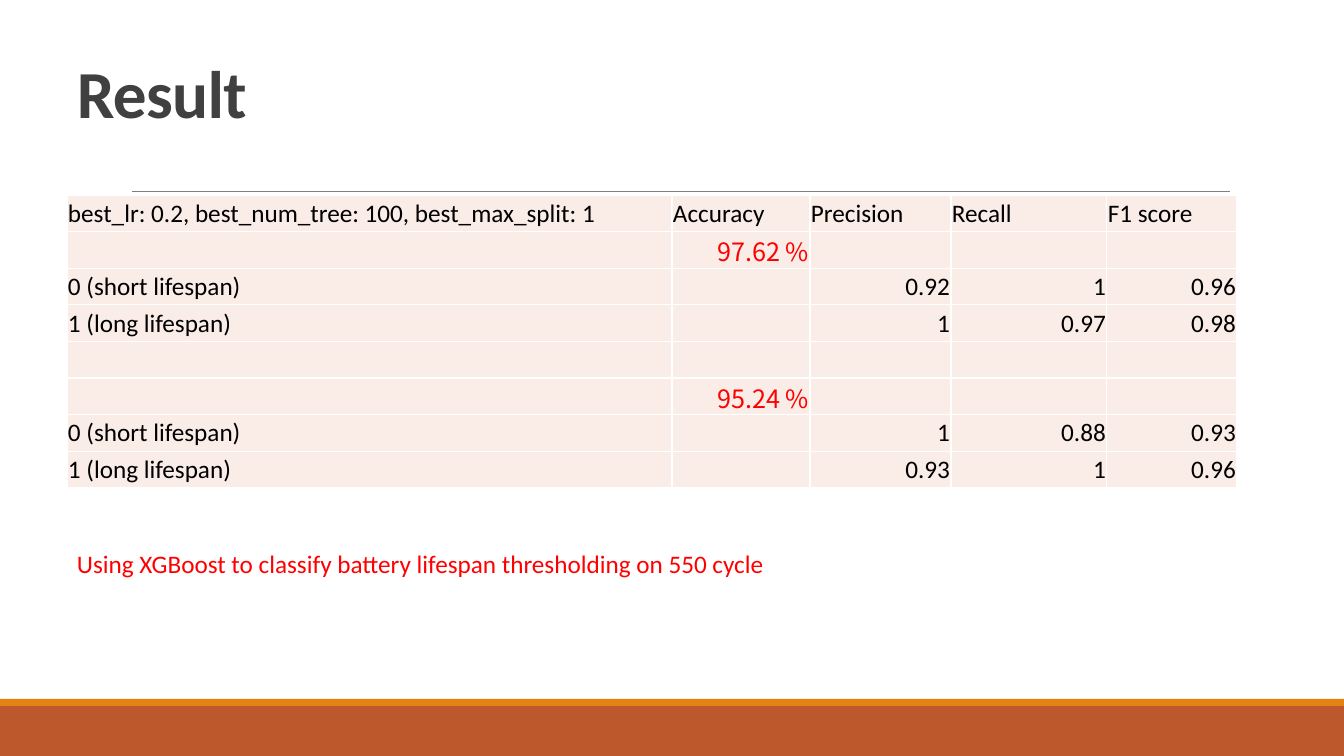
from dataclasses import dataclass

from lxml import etree
from pptx import Presentation
from pptx.dml.color import RGBColor
from pptx.enum.shapes import MSO_CONNECTOR, MSO_SHAPE
from pptx.enum.text import MSO_ANCHOR, PP_ALIGN
from pptx.oxml import parse_xml
from pptx.oxml.ns import nsdecls, qn
from pptx.util import Pt

LEFT, RIGHT = PP_ALIGN.LEFT, PP_ALIGN.RIGHT
TOP, MIDDLE, BOTTOM = MSO_ANCHOR.TOP, MSO_ANCHOR.MIDDLE, MSO_ANCHOR.BOTTOM
RECT, STRAIGHT = MSO_SHAPE.RECTANGLE, MSO_CONNECTOR.STRAIGHT
PX = 914400 / 100.8


@dataclass(frozen=True)
class Theme:
    font: str = "Calibri"
    alt: str = "Noto Sans CJK TC"
    ink: str = "000000"
    head: str = "404040"
    mark: str = "FF0000"
    rust: str = "BD582C"
    amber: str = "E48312"
    rule: str = "808080"
    cell: str = "FAEDE7"
    edge: str = "FFFFFF"
    big: int = 48
    body: int = 18


def emu(px):
    return round(px * PX)


def rgb(code):
    return RGBColor.from_string(code)


def apply(item, values):
    for name, value in values.items():
        setattr(item, name, value)


class Deck:
    def __init__(self, theme):
        self.theme = theme
        self.prs = Presentation()
        apply(self.prs, {"slide_width": emu(1344), "slide_height": emu(756)})
        self.slide = self.prs.slides.add_slide(self.prs.slide_layouts[6])
        self.shapes = self.slide.shapes

    def band(self, x, y, w, h, color):
        shape = self.shapes.add_shape(RECT, *map(emu, (x, y, w, h)))
        shape.shadow.inherit = False
        shape.fill.solid()
        shape.fill.fore_color.rgb = rgb(color)
        shape.line.fill.background()

    def rule(self, x, y, end):
        line = self.shapes.add_connector(STRAIGHT, *map(emu, (x, y, end, y)))
        line.line.color.rgb = rgb(self.theme.rule)
        line.line.width = Pt(0.5)
        etree.SubElement(line._element.spPr, qn("a:effectLst"))

    def label(self, frame, text, color, size=None, font=None, align=LEFT, bold=False):
        para = frame.paragraphs[0]
        para.alignment = align
        run = para.add_run()
        run.text = text
        apply(run.font, {"name": font or self.theme.font,
                         "size": Pt(size or self.theme.body), "bold": bold})
        run.font.color.rgb = rgb(color)
        return para, run

    def text(self, x, y, w, h, text, color, wrap=True, anchor=TOP, **style):
        frame = self.shapes.add_textbox(*map(emu, (x, y, w, h))).text_frame
        apply(frame, {"word_wrap": wrap, "vertical_anchor": anchor})
        return self.label(frame, text, color, **style)

    def title(self, x, y, w, h, text):
        para, run = self.text(x, y, w, h, text, self.theme.head, anchor=BOTTOM,
                              size=self.theme.big, bold=True)
        para.line_spacing = 0.85
        run._r.get_or_add_rPr().set("spc", "-50")

    def cell(self, cell, text, row, col):
        theme = self.theme
        apply(cell, {"margin_left": emu(1), "margin_right": emu(1), "margin_top": emu(1),
                     "margin_bottom": 0, "vertical_anchor": MIDDLE})
        for side in ("lnL", "lnR", "lnT", "lnB"):
            cell._tc.get_or_add_tcPr().append(parse_xml(
                f'<a:{side} {nsdecls("a")} w="12700"><a:solidFill>'
                f'<a:srgbClr val="{theme.edge}"/></a:solidFill></a:{side}>'))
        cell.fill.solid()
        cell.fill.fore_color.rgb = rgb(theme.cell)
        if text:
            score = text.endswith("%")
            self.label(cell.text_frame, text, theme.mark if score else theme.ink,
                       font=theme.alt if score else theme.font,
                       align=RIGHT if row and col else LEFT)
        else:
            cell.text_frame.paragraphs[0].font.size = Pt(theme.body)

    def table(self, x, y, h, widths, rows):
        box = map(emu, (x, y, sum(widths), h))
        table = self.shapes.add_table(len(rows), len(widths), *box).table
        apply(table, {"first_row": False, "horz_banding": False})
        for col, width in zip(table.columns, widths):
            col.width = emu(width)
        for r, row in enumerate(rows):
            table.rows[r].height = emu(h / len(rows))
            for c, text in enumerate(row):
                self.cell(table.cell(r, c), text, r, c)


def block(score, short, long):
    return [("", score, "", "", ""),
            ("0 (short lifespan)", "", *short),
            ("1 (long lifespan)", "", *long)]


def main():
    theme = Theme()
    deck = Deck(theme)

    # Footer bands and title rule
    deck.band(0, 706, 1344, 50, theme.rust)
    deck.band(0, 699, 1344, 7, theme.amber)
    deck.rule(132, 191, 1230)

    # Title and note
    deck.title(67, 56, 1109, 81, "Result")
    deck.text(67, 543, 716, 40,
              "Using XGBoost to classify battery lifespan thresholding on 550 cycle",
              theme.mark, wrap=False)

    # Score table
    head = ("best_lr: 0.2, best_num_tree: 100, best_max_split: 1",
            "Accuracy", "Precision", "Recall", "F1 score")
    rows = [head,
            *block("97.62 %", ("0.92", "1", "0.96"), ("1", "0.97", "0.98")),
            ("",) * len(head),
            *block("95.24 %", ("1", "0.88", "0.93"), ("0.93", "1", "0.96"))]
    deck.table(67, 195, 293, (605, 138, 141, 156, 130), rows)

    deck.prs.save("out.pptx")


if __name__ == "__main__":
    main()
